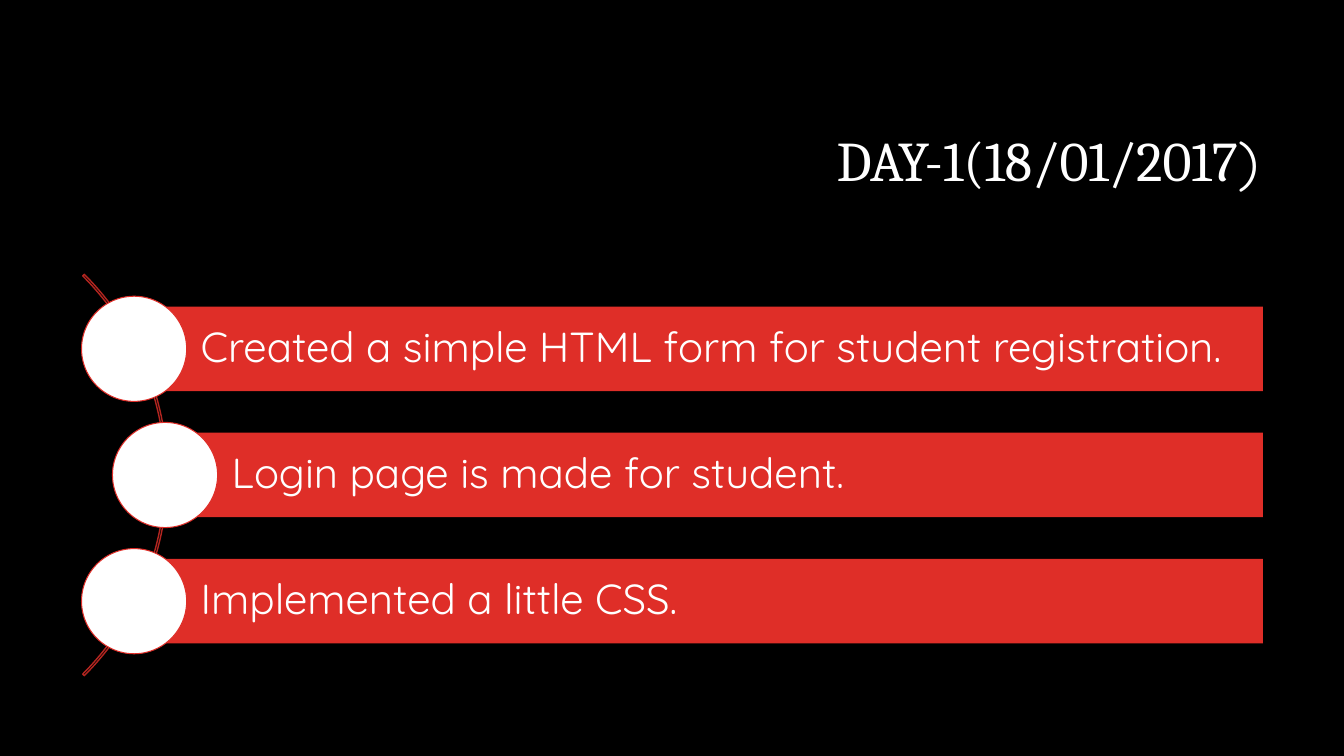
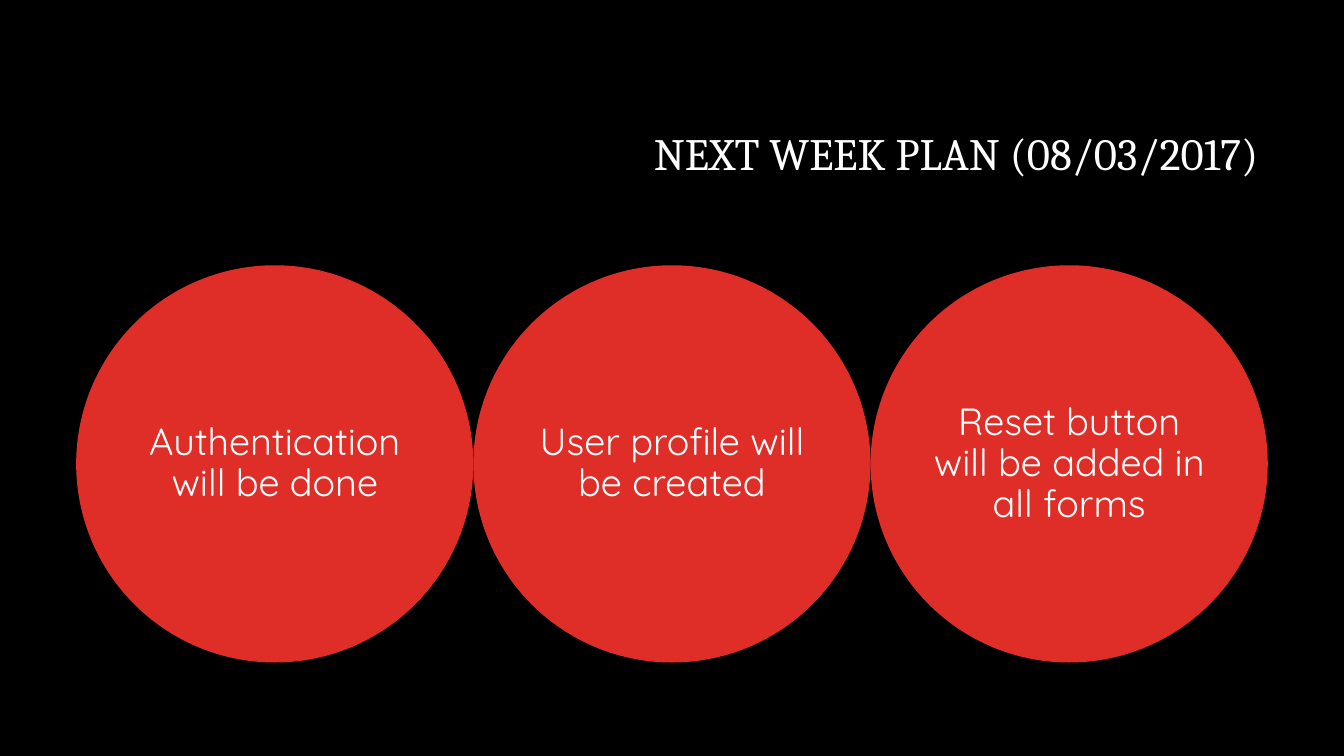
import pptx
import pptx.dml.color
import pptx.enum.shapes
import pptx.enum.text
import pptx.util

Cm = pptx.util.Cm
SHAPE = pptx.enum.shapes.MSO_SHAPE
ALIGN = pptx.enum.text.PP_ALIGN

BLACK, WHITE, RED, DARK_RED = "000000", "FFFFFF", "DF2E28", "B32520"
HEADING_FONT, BODY_FONT = "Cambria", "Quicksand"


def rgb(hex_code):
    return pptx.dml.color.RGBColor.from_string(hex_code)


class Deck:
    """Holds the shared style and the slide being built; lengths are in cm."""

    def __init__(self):
        self.presentation = pptx.Presentation()
        self.presentation.slide_width = Cm(33.87)
        self.presentation.slide_height = Cm(19.05)
        backdrop = self.presentation.slide_master.background.fill
        backdrop.solid()
        backdrop.fore_color.rgb = rgb(BLACK)
        self.slide = None

    def start_slide(self, heading, size, height, ending=""):
        """Add a slide; the ending of its heading is set in the body font."""
        self.slide = self.presentation.slides.add_slide(
            self.presentation.slide_layouts.get_by_name("Title Only"))
        title = self.slide.shapes.title
        title.left, title.top = Cm(8.05), Cm(2.13)
        title.width, title.height = Cm(23.93), Cm(height)
        title.text_frame.text = heading
        self.format_text(title.text_frame, HEADING_FONT, size, ALIGN.RIGHT)
        if ending:
            title.text_frame.paragraphs[0].add_run().text = ending
            self.format_run(title.text_frame.paragraphs[0].runs[-1], BODY_FONT, size)

    def format_run(self, run, font, size):
        run.font.name = font
        run.font.size = pptx.util.Pt(size)
        run.font.color.rgb = rgb(WHITE)

    def format_text(self, frame, font, size, align):
        frame.word_wrap = True
        frame.auto_size = pptx.enum.text.MSO_AUTO_SIZE.NONE
        frame.vertical_anchor = pptx.enum.text.MSO_ANCHOR.MIDDLE
        for paragraph in frame.paragraphs:
            paragraph.alignment = align
            paragraph.line_spacing = 0.9
            for run in paragraph.runs:
                self.format_run(run, font, size)

    def shape(self, kind, left, top, width, height, fill=None, line=None, line_width=0.75):
        shape = self.slide.shapes.add_shape(kind, Cm(left), Cm(top), Cm(width), Cm(height))
        shape.shadow.inherit = False
        if fill:
            shape.fill.solid()
            shape.fill.fore_color.rgb = rgb(fill)
        else:
            shape.fill.background()
        if line:
            shape.line.color.rgb = rgb(line)
            shape.line.width = pptx.util.Pt(line_width)
        else:
            shape.line.fill.background()
        return shape

    def circle(self, center_x, center_y, diameter, fill, line=None):
        return self.shape(SHAPE.OVAL, center_x - diameter / 2, center_y - diameter / 2,
                          diameter, diameter, fill, line)

    def label(self, shape, text, size, align, inset, left_inset):
        frame = shape.text_frame
        frame.margin_left = Cm(left_inset)
        frame.margin_top = frame.margin_right = frame.margin_bottom = Cm(inset)
        frame.text = text
        self.format_text(frame, BODY_FONT, size, align)

    def arc(self, center_x, center_y, diameter):
        """Draw a thin arc over the right-hand quarter of a circle."""
        arc = self.shape(SHAPE.BLOCK_ARC, center_x - diameter / 2, center_y - diameter / 2,
                         diameter, diameter, line=DARK_RED, line_width=1)
        for index, value in enumerate((189, 27, 0.004)):
            arc.adjustments[index] = value

    def task_bar(self, text, left, center_y):
        """Draw a bar with its white marker centred on the left edge."""
        height, right = 2.13, 31.83
        bar = self.shape(SHAPE.RECTANGLE, left, center_y - height / 2,
                         right - left, height, RED)
        self.label(bar, text, 30, ALIGN.LEFT, 0.2, 1.68)
        self.circle(left, center_y, 2.65, WHITE, RED)

    def plan_circle(self, text, center_x, center_y, diameter):
        circle = self.circle(center_x, center_y, diameter, RED)
        self.label(circle, text, 27, ALIGN.CENTER, 0, 0)


def build_day_one(deck):
    deck.start_slide("DAY-1(18/01/2017", 40, 3.96, ending=")")
    middle, pitch = 11.97, 3.18
    deck.arc(-2.93, middle, 14.3)
    tasks = (
        ("Created a simple HTML form for student registration.", 3.38),
        ("Login page is made for student.", 4.16),
        ("Implemented a little CSS.", 3.38),
    )
    for row, (task, left) in enumerate(tasks):
        deck.task_bar(task, left, middle + (row - 1) * pitch)


def build_next_week(deck):
    deck.start_slide("NEXT WEEK PLAN (08/03/2017)", 32, 3.58)
    diameter = 10.01
    plans = (
        "Authentication will be done",
        "User profile will be created",
        "Reset button will be added in all forms",
    )
    for column, plan in enumerate(plans):
        deck.plan_circle(plan, 1.92 + (column + 0.5) * diameter, 11.69, diameter)


def main():
    deck = Deck()
    build_day_one(deck)
    build_next_week(deck)
    deck.presentation.save("out.pptx")


if __name__ == "__main__":
    main()
